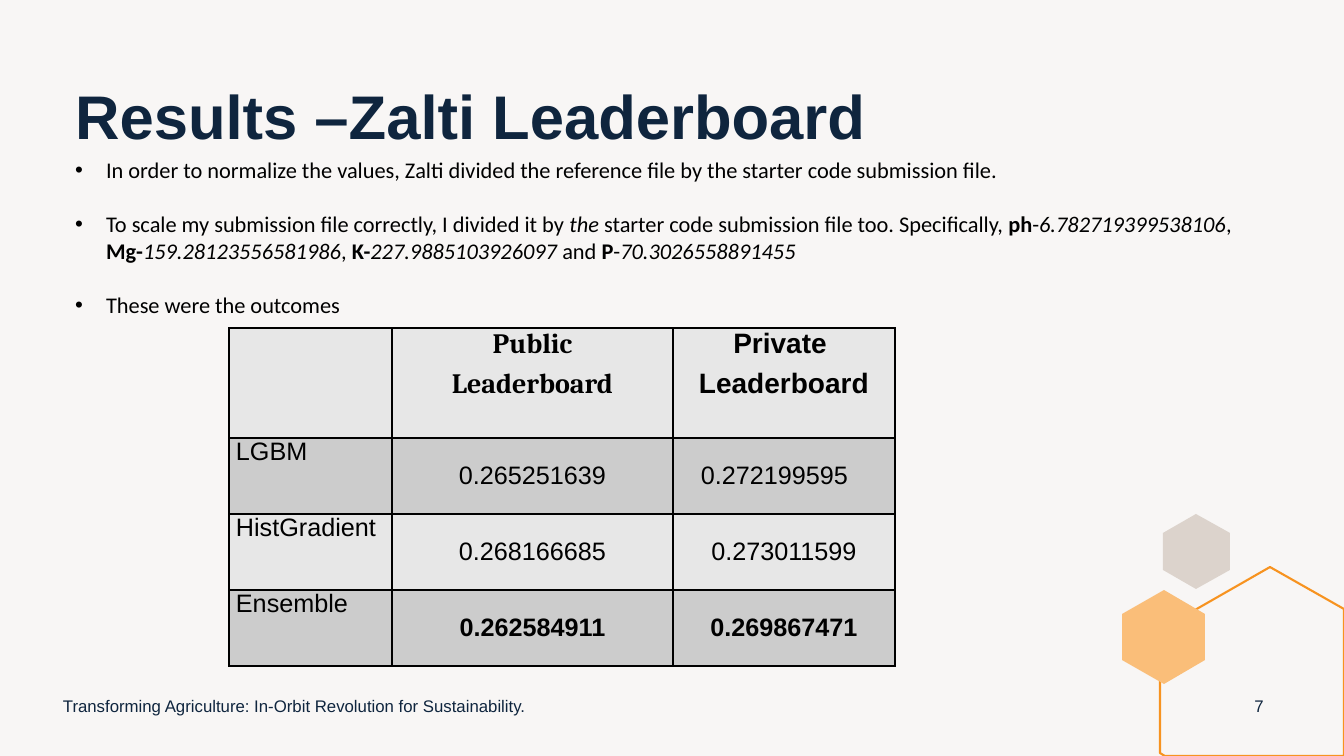
from lxml import etree
from pptx import Presentation
from pptx.dml import color
from pptx.enum import text
from pptx.oxml import ns
from pptx.util import Pt

PX = 914400 / 100.8
NAVY, BLACK, ORANGE = "0F253E", "000000", "F79320"
TITLE = "Results –Zalti Leaderboard"
BULLETS = [
    [("In order to normalize the values, Zalti divided the reference file "
      "by the starter code submission file.", "")],
    [("To scale my submission file correctly, I divided it by ", ""), ("the", "i"),
     (" starter code submission file too. Specifically, ", ""),
     ("ph", "b"), ("-", ""), ("6.782719399538106", "i"), (", ", ""),
     ("Mg-", "b"), ("159.28123556581986", "i"), (", ", ""),
     ("K-", "b"), ("227.9885103926097", "i"), (" and ", ""),
     ("P", "b"), ("-", ""), ("70.3026558891455", "i")],
    [("These were the outcomes", "")],
]
SCORES = [
    ("", "Public\nLeaderboard", "Private \nLeaderboard"),
    ("LGBM", "0.265251639", "0.272199595"),
    ("HistGradient", "0.268166685", "0.273011599"),
    ("Ensemble", "0.262584911", "0.269867471"),
]
COL_WIDTHS = [163, 281, 222]
ROW_HEIGHTS = [110, 76, 76, 76]
ROW_FILLS = ["E7E7E7", "CCCCCC"]
FOOTERS = [
    ("Transforming Agriculture: In-Orbit Revolution for Sustainability.",
     (53, 685, 487, 41), text.PP_ALIGN.LEFT),
    ("7", (1234, 685, 50, 41), text.PP_ALIGN.CENTER),
]
HOUSE = [(1270, 567), (1344, 609), (1344, 756), (1165, 756), (1160, 753), (1160, 630)]


def px(n):
    return round(n * PX)


def rgb(value):
    return color.RGBColor.from_string(value)


def place(sp, left, top, width, height):
    sp.left, sp.top, sp.width, sp.height = map(px, (left, top, width, height))


def style(p, size, name, value, bold=False, align=text.PP_ALIGN.LEFT):
    p.font.size, p.font.name, p.font.bold = Pt(size), name, bold
    p.font.color.rgb = rgb(value)
    p.alignment = align


def outline(points, fill=None, line=None):
    builder = slide.shapes.build_freeform(*points[0], scale=PX)
    builder.add_line_segments(points[1:], close=True)
    sp = builder.convert_to_shape()
    sp.shadow.inherit = False
    if fill:
        sp.fill.solid()
        sp.fill.fore_color.rgb = rgb(fill)
    else:
        sp.fill.background()
    if line:
        sp.line.color.rgb = rgb(line)
        sp.line.width = Pt(1.5)
    else:
        sp.line.fill.background()


def hexagon(left, top, width, height, fill):
    mid, right = left + width / 2, left + width
    upper, lower = top + height / 4, top + height * 3 / 4
    outline([(mid, top), (right, upper), (right, lower),
             (mid, top + height), (left, lower), (left, upper)], fill)


def border(cell):
    tcPr = cell._tc.get_or_add_tcPr()
    for side in ("a:lnL", "a:lnR", "a:lnT", "a:lnB"):
        ln = etree.SubElement(tcPr, ns.qn(side), w=str(Pt(1)))
        fill = etree.SubElement(ln, ns.qn("a:solidFill"))
        etree.SubElement(fill, ns.qn("a:srgbClr"), val=BLACK)


prs = Presentation()
prs.slide_width, prs.slide_height = px(1344), px(756)
slide = prs.slides.add_slide(prs.slide_layouts[1])
slide.background.fill.solid()
slide.background.fill.fore_color.rgb = rgb("F8F6F5")

hexagon(1163, 514, 67, 75, "DCD3CC")
outline(HOUSE, line=ORANGE)
hexagon(1122, 590, 83, 94, "FABE79")

title = slide.shapes.title
place(title, 65, 80, 1200, 80)
title.text_frame.text = TITLE
title.text_frame.auto_size = text.MSO_AUTO_SIZE.NONE
title.text_frame.vertical_anchor = text.MSO_ANCHOR.MIDDLE
p = title.text_frame.paragraphs[0]
style(p, 44, "Arial", NAVY, True)
p.line_spacing = 0.9

body = slide.placeholders[1]
place(body, 65, 151, 1207, 173)
tf = body.text_frame
tf.auto_size = text.MSO_AUTO_SIZE.NONE
for i, runs in enumerate(BULLETS):
    p = tf.add_paragraph() if i else tf.paragraphs[0]
    style(p, 16, "Calibri", BLACK)
    p.space_before = Pt(19.5 if i else 0)
    pPr = p._p.get_or_add_pPr()
    pPr.set("marL", str(px(31)))
    pPr.set("indent", str(px(-31)))
    for content, look in runs:
        r = p.add_run()
        r.text = content
        r.font.bold, r.font.italic = look == "b", look == "i"

for content, box, align in FOOTERS:
    sp = slide.shapes.add_textbox(*map(px, box))
    tf = sp.text_frame
    tf.word_wrap = True
    tf.vertical_anchor = text.MSO_ANCHOR.MIDDLE
    tf.text = content
    style(tf.paragraphs[0], 12, "Arial", NAVY, align=align)

table = slide.shapes.add_table(
    len(SCORES), len(COL_WIDTHS), px(229), px(328),
    px(sum(COL_WIDTHS)), px(sum(ROW_HEIGHTS))).table
for column, width in zip(table.columns, COL_WIDTHS):
    column.width = px(width)
for row, height in zip(table.rows, ROW_HEIGHTS):
    row.height = px(height)
for i, row in enumerate(SCORES):
    for j, content in enumerate(row):
        cell = table.cell(i, j)
        border(cell)
        cell.fill.solid()
        cell.fill.fore_color.rgb = rgb(ROW_FILLS[i % 2])
        cell.margin_left = cell.margin_right = px(7)
        cell.margin_top = cell.margin_bottom = 0
        cell.vertical_anchor = text.MSO_ANCHOR.MIDDLE if i and j else text.MSO_ANCHOR.TOP
        cell.text = content
        bold = j > 0 and i in (0, len(SCORES) - 1)
        align = text.PP_ALIGN.CENTER if j else text.PP_ALIGN.LEFT
        for p in cell.text_frame.paragraphs:
            style(p, 18 if i else 20, "Cambria" if (i, j) == (0, 1) else "Arial",
                  BLACK, bold, align)
            p.space_before = Pt(6)
shifted = table.cell(1, 2)
shifted.margin_left = px(28)
shifted.text_frame.paragraphs[0].alignment = text.PP_ALIGN.LEFT

prs.save("out.pptx")
